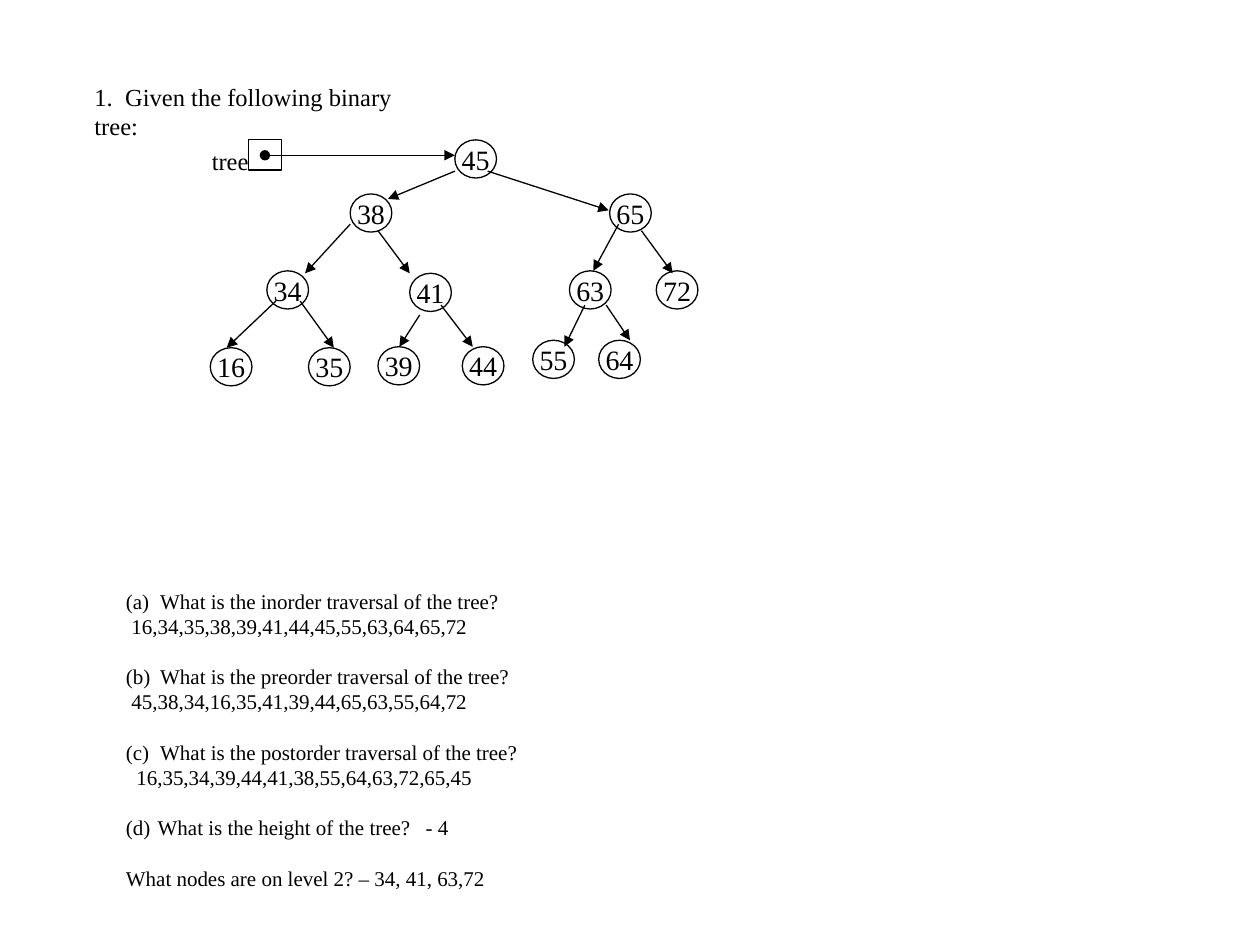
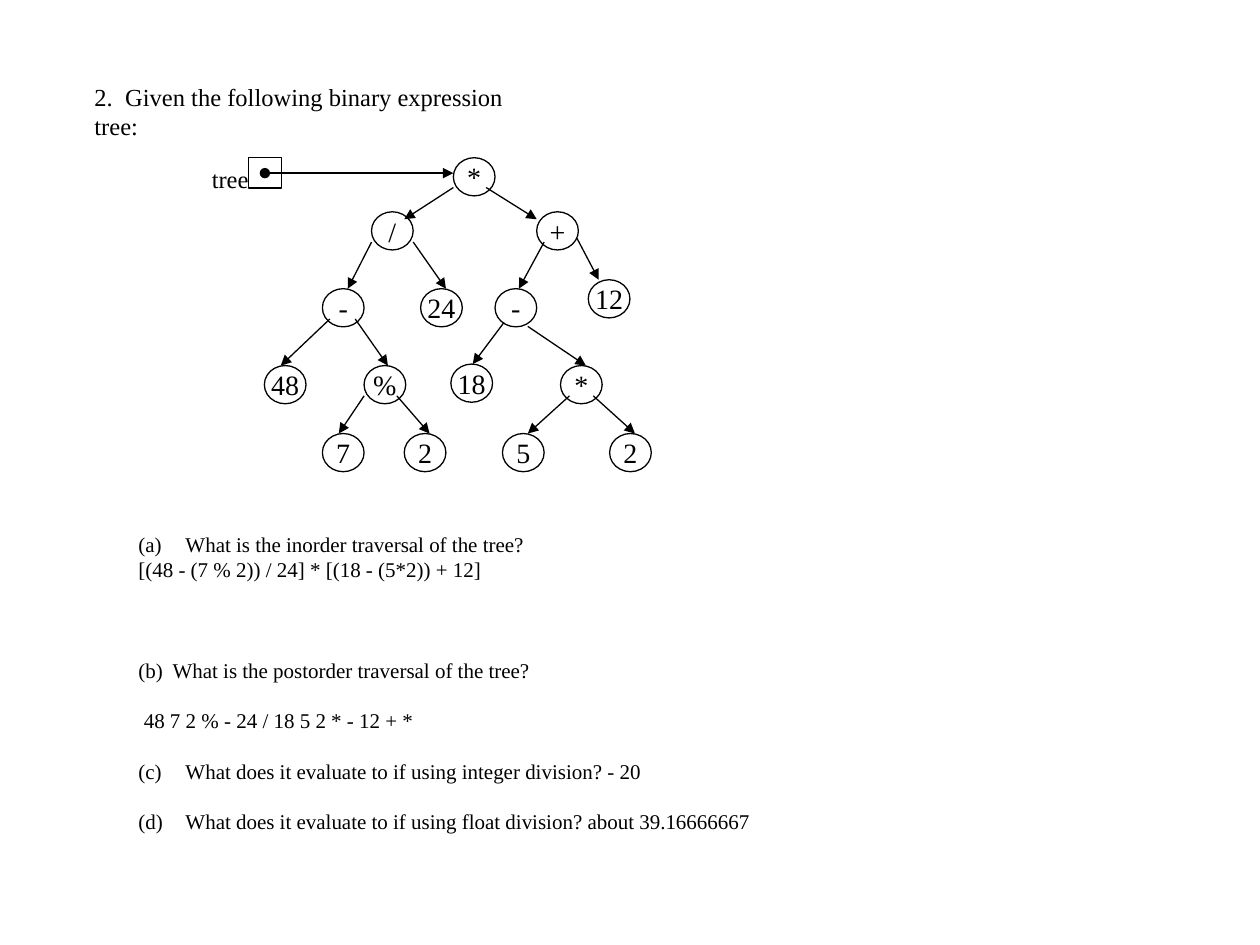
from dataclasses import dataclass
from typing import NamedTuple

from lxml import etree
from pptx import Presentation
from pptx.dml.color import RGBColor
from pptx.enum import shapes as kinds, text as modes
from pptx.oxml import ns
from pptx.util import Cm, Pt


@dataclass(frozen=True)
class Theme:
    ink: RGBColor = RGBColor(0, 0, 0)
    font: str = "Times New Roman"
    title_size: int = 14
    body_size: int = 12
    node_size: int = 16
    line_pitch: float = 14.4
    line_width: float = 0.75


class Node(NamedTuple):
    label: str
    x: float
    y: float
    arrow: tuple = ()


class Line(NamedTuple):
    text: str
    blank_lines: int = 0
    indent: float = 0
    number: int = 0
    tabs: tuple = ()


THEME = Theme()
NODE_WIDTH, NODE_HEIGHT = 0.84, 0.77
LABEL_TAB = 0.69
NUMBER_INDENT = 0.95

SEARCH_TREE = [
    Node("45", 5.17, 0),
    Node("38", 3.06, 1.09, (5.17, 0.63, 3.82, 1.19)),
    Node("65", 8.29, 1.09, (5.83, 0.63, 8.27, 1.42)),
    Node("34", 1.38, 2.64, (3.06, 1.7, 2.15, 2.69)),
    Node("41", 4.26, 2.69, (3.62, 1.83, 4.26, 2.69)),
    Node("63", 7.48, 2.64, (8.47, 1.7, 7.96, 2.64)),
    Node("72", 9.23, 2.64, (8.93, 1.83, 9.56, 2.69)),
    Node("16", 0.24, 4.19, (1.56, 3.25, 0.57, 4.19)),
    Node("35", 2.22, 4.19, (2.05, 3.25, 2.73, 4.19)),
    Node("39", 3.62, 4.17, (4.46, 3.53, 4.05, 4.17)),
    Node("44", 5.32, 4.17, (4.89, 3.33, 5.53, 4.17)),
    Node("55", 6.74, 4.04, (7.79, 3.33, 7.38, 4.17)),
    Node("64", 8.07, 4.04, (8.22, 3.33, 8.7, 4.04)),
]

EXPRESSION_TREE = [
    Node("*", 5.14, 0),
    Node("/", 3.49, 1.09, (5.14, 0.6, 4.15, 1.24)),
    Node("+", 6.82, 1.09, (5.8, 0.6, 6.82, 1.24)),
    Node("-", 2.5, 2.64, (3.49, 1.7, 3.01, 2.64)),
    Node("24", 4.48, 2.64, (4.33, 1.7, 4.99, 2.64)),
    Node("-", 5.98, 2.64, (6.97, 1.7, 6.46, 2.64)),
    Node("12", 7.86, 2.46, (7.63, 1.62, 8.07, 2.46)),
    Node("48", 1.33, 4.19, (2.65, 3.25, 1.66, 4.19)),
    Node("%", 3.34, 4.19, (3.16, 3.25, 3.82, 4.19)),
    Node("18", 5.09, 4.16, (6.16, 3.32, 5.53, 4.16)),
    Node("*", 7.3, 4.19, (6.64, 3.4, 7.81, 4.19)),
    Node("7", 2.5, 5.56, (3.34, 4.8, 2.83, 5.56)),
    Node("2", 4.15, 5.56, (4, 4.8, 4.66, 5.56)),
    Node("5", 6.13, 5.56, (7.48, 4.8, 6.64, 5.56)),
    Node("2", 8.29, 5.56, (7.96, 4.8, 8.8, 5.56)),
]

TRAVERSAL_QUESTIONS = [
    Line("(a)\tWhat is the inorder traversal of the tree?", tabs=(LABEL_TAB,)),
    Line("16,34,35,38,39,41,44,45,55,63,64,65,72", indent=0.11),
    Line("(b)\tWhat is the preorder traversal of the tree?", 1, tabs=(LABEL_TAB,)),
    Line("45,38,34,16,35,41,39,44,65,63,55,64,72", indent=0.11),
    Line("(c)\tWhat is the postorder traversal of the tree?", 1, tabs=(LABEL_TAB,)),
    Line("16,35,34,39,44,41,38,55,64,63,72,65,45", indent=0.21),
    Line("(d)\tWhat is the height of the tree?\t- 4", 1, tabs=(0.64, 6.04)),
    Line("What nodes are on level 2? – 34, 41, 63,72", 1),
]

EXPRESSION_QUESTIONS = [
    Line("What is the inorder traversal of the tree?", number=1),
    Line("[(48 - (7 % 2)) / 24] * [(18 - (5*2)) + 12]"),
    Line("(b)\tWhat is the postorder traversal of the tree?", 3, tabs=(LABEL_TAB,)),
    Line("48 7 2 % - 24 / 18 5 2 * - 12 + *", 1, indent=0.11),
    Line("What does it evaluate to if using integer division? - 20", 1, number=3),
    Line("What does it evaluate to if using float division? about 39.16666667", 1, number=4),
]


def add_run(paragraph, content, size):
    run = paragraph.add_run()
    run.text = content
    run.font.name = THEME.font
    run.font.size = Pt(size)
    run.font.color.rgb = THEME.ink


def add_child(parent, tag, **attributes):
    child = etree.SubElement(parent, ns.qn(tag))
    for name, value in attributes.items():
        child.set(name, str(value))
    return child


def add_tabs(paragraph, positions):
    if positions:
        tabs = add_child(paragraph._p.get_or_add_pPr(), "a:tabLst")
        for position in positions:
            add_child(tabs, "a:tab", pos=Cm(position), algn="l")


def style_outline(shape):
    shape.shadow.inherit = False
    shape.fill.background()
    shape.line.color.rgb = THEME.ink
    shape.line.width = Pt(THEME.line_width)


def add_arrow(slide, origin, points, head=None):
    left, top = origin
    x1, y1, x2, y2 = points
    arrow = slide.shapes.add_connector(
        kinds.MSO_CONNECTOR.STRAIGHT,
        Cm(left + x1), Cm(top + y1), Cm(left + x2), Cm(top + y2))
    arrow.line.color.rgb = THEME.ink
    arrow.line.width = Pt(THEME.line_width)
    outline = arrow.line._get_or_add_ln()
    if head:
        add_child(outline, "a:headEnd", type=head)
    add_child(outline, "a:tailEnd", type="triangle")
    add_child(arrow._element.spPr, "a:effectLst")


def add_node(slide, origin, node):
    left, top = origin
    circle = slide.shapes.add_shape(
        kinds.MSO_SHAPE.OVAL, Cm(left + node.x), Cm(top + node.y),
        Cm(NODE_WIDTH), Cm(NODE_HEIGHT))
    style_outline(circle)
    frame = circle.text_frame
    frame.word_wrap = False
    frame.vertical_anchor = modes.MSO_ANCHOR.MIDDLE
    paragraph = frame.paragraphs[0]
    paragraph.alignment = modes.PP_ALIGN.CENTER
    add_run(paragraph, node.label, THEME.node_size)


def add_root_pointer(slide, origin, root):
    left, top = origin
    box = slide.shapes.add_shape(
        kinds.MSO_SHAPE.RECTANGLE, Cm(left + 1.01), Cm(top), Cm(0.66), Cm(0.61))
    style_outline(box)
    label = slide.shapes.add_textbox(Cm(left + 0.02), Cm(top), Cm(1.5), Cm(0.84))
    label.text_frame.word_wrap = True
    add_run(label.text_frame.paragraphs[0], "tree", THEME.title_size)
    add_arrow(slide, origin, (1.34, 0.31, root.x, 0.31), head="oval")


def add_tree(slide, origin, nodes):
    for node in nodes:
        add_node(slide, origin, node)
    for node in nodes:
        if node.arrow:
            add_arrow(slide, origin, node.arrow)
    add_root_pointer(slide, origin, nodes[0])


def add_questions(slide, box, lines):
    frame = slide.shapes.add_textbox(*map(Cm, box)).text_frame
    frame.word_wrap = True
    for index, line in enumerate(lines):
        paragraph = frame.add_paragraph() if index else frame.paragraphs[0]
        paragraph.space_before = Pt(line.blank_lines * THEME.line_pitch)
        properties = paragraph._p.get_or_add_pPr()
        if line.number:
            properties.set("marL", str(Cm(NUMBER_INDENT)))
            properties.set("indent", str(-Cm(NUMBER_INDENT)))
            add_child(properties, "a:buFont", typeface=THEME.font)
            add_child(properties, "a:buAutoNum", type="alphaLcParenBoth", startAt=line.number)
        elif line.indent:
            properties.set("marL", str(Cm(line.indent)))
            properties.set("indent", "0")
        add_tabs(paragraph, line.tabs)
        add_run(paragraph, line.text, THEME.body_size)


def set_title(slide, content, width):
    title = slide.shapes.title
    title.left, title.top, title.width, title.height = map(Cm, (1.65, 1.52, width, 0.84))
    frame = title.text_frame
    frame.word_wrap = True
    frame.auto_size = modes.MSO_AUTO_SIZE.NONE
    frame.vertical_anchor = modes.MSO_ANCHOR.TOP
    paragraph = frame.paragraphs[0]
    paragraph.alignment = modes.PP_ALIGN.LEFT
    add_tabs(paragraph, (0.62,))
    add_run(paragraph, content, THEME.title_size)


def add_exercise(presentation, title, title_width, tree_origin, nodes, question_box, questions):
    slide = presentation.slides.add_slide(presentation.slide_layouts[5])
    set_title(slide, title, title_width)
    add_questions(slide, question_box, questions)
    add_tree(slide, tree_origin, nodes)


def main():
    presentation = Presentation()
    presentation.slide_width, presentation.slide_height = Cm(25.4), Cm(19.05)
    add_exercise(presentation, "1.\tGiven the following binary tree:", 7.4,
                 (4, 2.82), SEARCH_TREE, (2.29, 11.73, 16.56, 6.93), TRAVERSAL_QUESTIONS)
    add_exercise(presentation, "2.\tGiven the following binary expression tree:", 9.6,
                 (4, 3.18), EXPRESSION_TREE, (2.54, 10.59, 16.56, 7.95), EXPRESSION_QUESTIONS)
    presentation.save("out.pptx")


if __name__ == "__main__":
    main()
